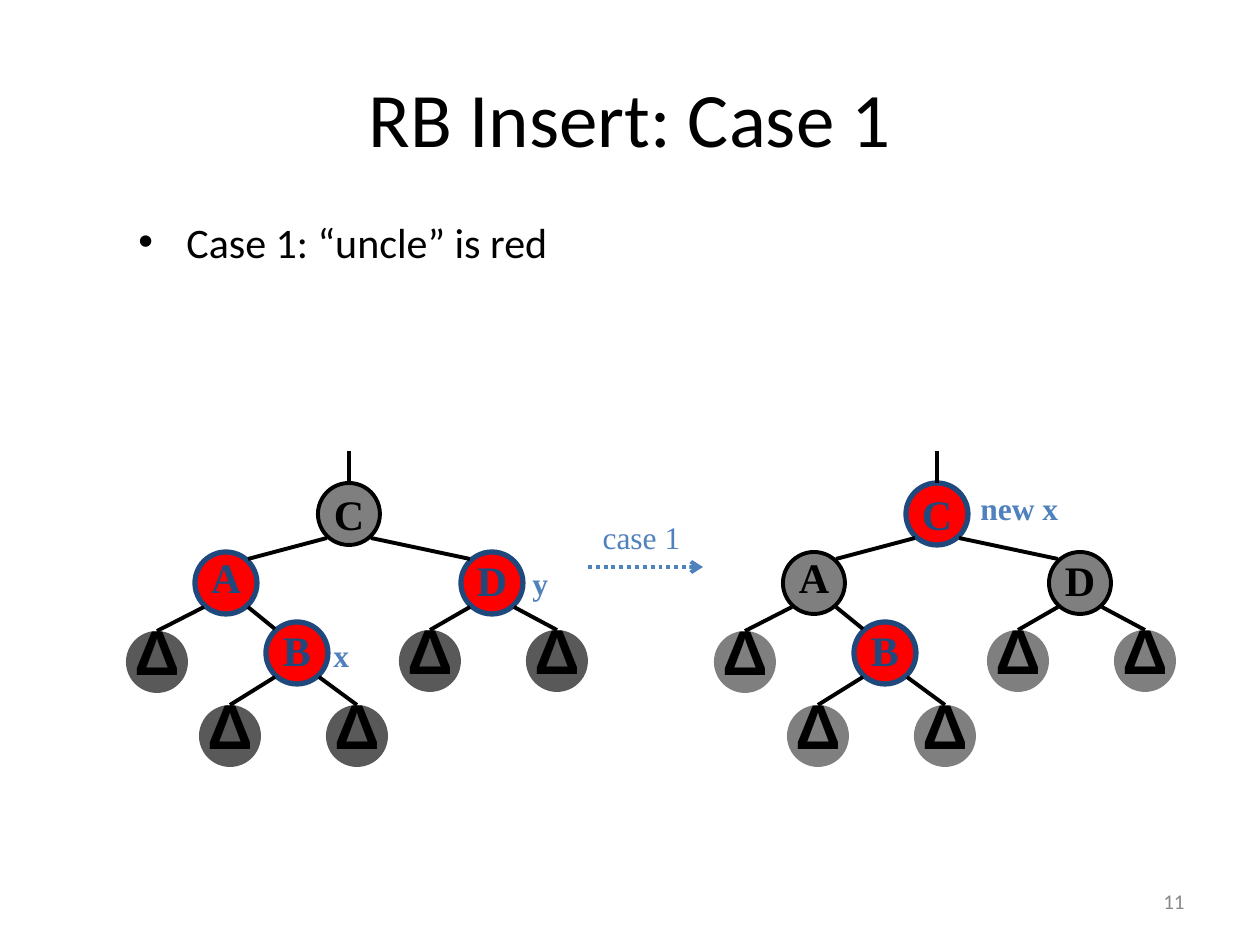
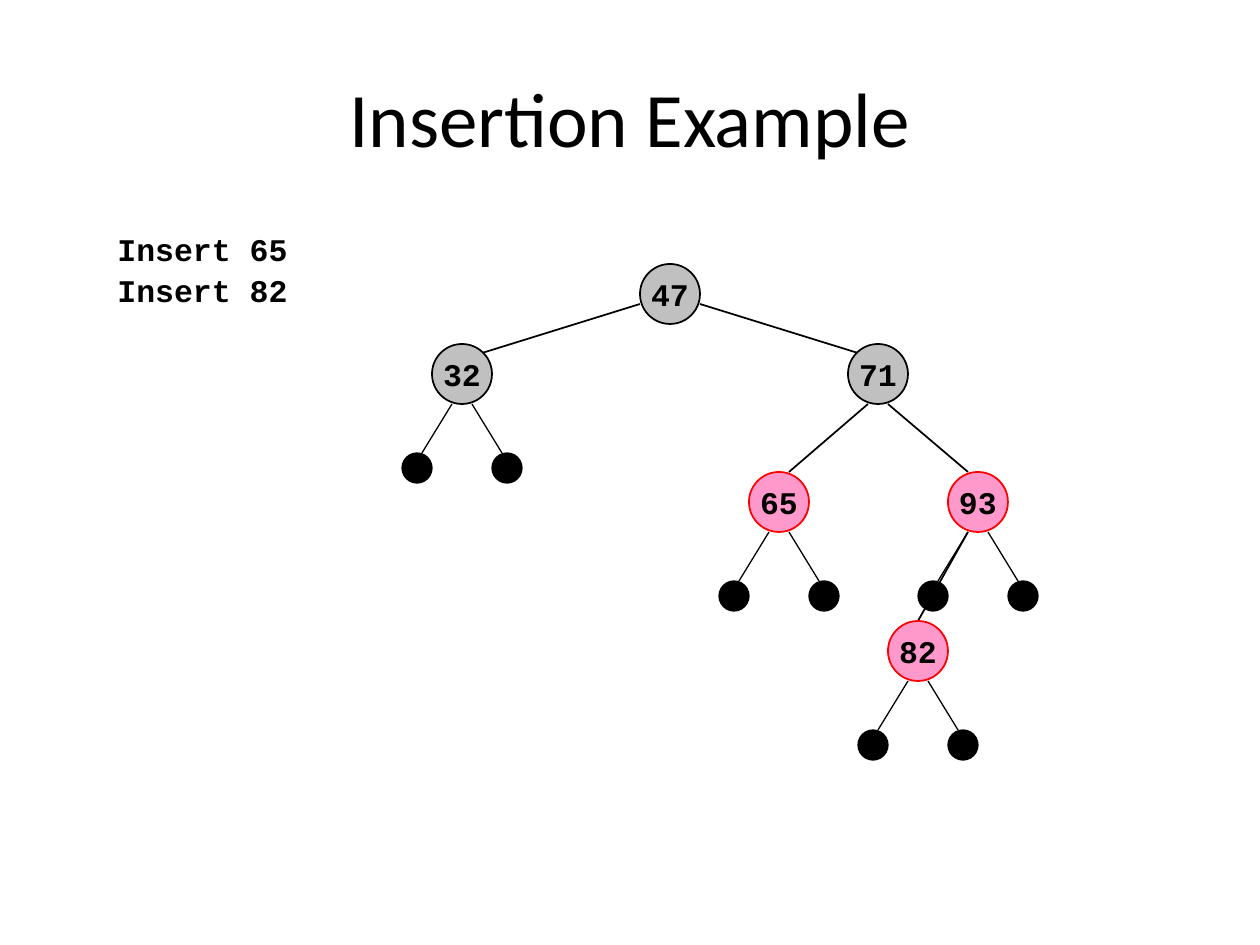
from lxml import etree
from pptx import Presentation
from pptx import util as u
from pptx.dml.color import RGBColor
from pptx.enum import dml, shapes, text
from pptx.oxml import ns

SCALE = 914400 / 126
HUES = {
    "ink": "000000", "grey": "7F7F7F", "dark": "595959", "red": "FF0000",
    "navy": "1F497D", "blue": "4F81BD", "pale": "C0C0C0", "pink": "FF99CC",
    "foot": "898989",
}
ALIGN = {"l": text.PP_ALIGN.LEFT, "c": text.PP_ALIGN.CENTER, "r": text.PP_ALIGN.RIGHT}
SERIF, SANS, MONO = "Times New Roman", "Calibri", "Courier New"

# Case tree: name -> left, top, line spacing
SIZE = 62
NODES = {"C": (318, 483, 1.0), "A": (195, 552, 0.7),
         "D": (461, 552, 0.9), "B": (266, 622, 0.9)}
KIDS = [("C", "A"), ("C", "D"), ("A", "B")]
TREES = [("A", 126, 631), ("B", 199, 705), ("B", 326, 705),
         ("D", 399, 630), ("D", 526, 630)]

# Example tree: key -> left, top, fill, line
DISC, DOT = 60, 30
KEYS = {
    47: (640, 264, "pale", "ink"), 71: (848, 344, "pale", "ink"),
    32: (432, 344, "pale", "ink"), 65: (749, 472, "pink", "red"),
    93: (948, 472, "pink", "red"), 82: (888, 621, "pink", "red"),
}


def px(n):
    return u.Emu(round(n * SCALE))


def hue(name):
    return RGBColor.from_string(HUES[name])


def write(frame, words, font=SANS, size=18, ink="ink", bold=False,
          align="c", mid=True, wrap=True, lead=None, bullet=False):
    """Fill a text frame with one formatted paragraph."""
    frame.word_wrap = wrap
    frame.vertical_anchor = text.MSO_ANCHOR.MIDDLE if mid else text.MSO_ANCHOR.TOP
    para = frame.paragraphs[0]
    para.text = words
    para.alignment = ALIGN[align]
    if lead:
        para.line_spacing = lead
    if bullet:
        props = para._p.get_or_add_pPr()
        props.set("marL", str(px(48)))
        props.set("indent", str(-px(48)))
        face = etree.SubElement(props, ns.qn("a:buFont"))
        face.set("typeface", "Arial")
        etree.SubElement(props, ns.qn("a:buChar")).set("char", "•")
    style = para.runs[0].font
    style.name, style.size, style.bold = font, u.Pt(size), bold
    style.color.rgb = hue(ink)


def label(slide, box, words, **form):
    frame = slide.shapes.add_textbox(*map(px, box)).text_frame
    write(frame, words, **form)
    return frame


def circle(slide, left, top, size, fill, edge=None, width=1):
    disc = slide.shapes.add_shape(
        shapes.MSO_SHAPE.OVAL, px(left), px(top), px(size), px(size))
    disc.shadow.inherit = False
    disc.fill.solid()
    disc.fill.fore_color.rgb = hue(fill)
    if edge:
        disc.line.color.rgb = hue(edge)
        disc.line.width = u.Pt(width)
    else:
        disc.line.fill.background()
    return disc.text_frame


def line(slide, start, end, width, ink="ink", arrow=False):
    link = slide.shapes.add_connector(
        shapes.MSO_CONNECTOR.STRAIGHT, *map(px, (*start, *end)))
    link.line.color.rgb = hue(ink)
    link.line.width = u.Pt(width)
    if arrow:
        link.line.dash_style = dml.MSO_LINE.ROUND_DOT
        tail = etree.SubElement(link.line._get_or_add_ln(), ns.qn("a:tailEnd"))
        tail.set("type", "arrow")
    etree.SubElement(link._element.spPr, ns.qn("a:effectLst"))


def page(deck, title):
    slide = deck.slides.add_slide(deck.slide_layouts[6])
    label(slide, (63, 38, 1134, 157), title, size=44)
    return slide


def corner(name, right, low):
    """Point on a node's rim, on the diagonal side asked for."""
    left, top, _ = NODES[name]
    return left + (53 if right else 9), top + (55 if low else 7)


def case(slide, shift, reds, leaf):
    """Draw the case tree, moved right by shift, with the named nodes red."""
    def link(start, end):
        line(slide, (start[0] + shift, start[1]), (end[0] + shift, end[1]), 2.25)

    for name, (left, top, lead) in NODES.items():
        red = name in reds
        edge = "navy" if red else "ink"
        frame = circle(slide, left + shift, top, SIZE, "red" if red else "grey",
                       edge, 3 if red else 2.25)
        write(frame, name, font=SERIF, size=24, ink=edge, bold=True,
              wrap=False, lead=lead)
    for _, left, top in TREES:
        frame = circle(slide, left + shift, top, SIZE, leaf)
        write(frame, "Δ", font="Arial", size=36, bold=True, wrap=False, lead=0.6)
    for name, kid in KIDS:
        right = NODES[kid][0] > NODES[name][0]
        link(corner(name, right, True), corner(kid, not right, False))
    for name, left, top in TREES:
        right = left > NODES[name][0]
        link(corner(name, right, True), (left + SIZE // 2, top))
    link((349, 483), (349, 451))


def cases(deck):
    slide = page(deck, "RB Insert: Case 1")
    label(slide, (126, 210, 1071, 242), "Case 1: “uncle” is red",
          size=24, align="l", mid=False, bullet=True)
    case(slide, 0, "ABD", "dark")
    case(slide, 588, "CB", "grey")
    line(slide, (588, 567), (703, 567), 2.25, "blue", arrow=True)
    for left, top, wide, words, bold, align in [
            (321, 630, 40, "x", True, "c"), (520, 558, 40, "y", True, "c"),
            (968, 483, 103, "new x", True, "l"),
            (590, 512, 103, "case 1", False, "c")]:
        label(slide, (left, top, wide, 50), words, font=SERIF, ink="blue",
              bold=bold, align=align, wrap=False)
    label(slide, (903, 876, 294, 50), "11", size=12, ink="foot", align="r")


def join(slide, key, kid, start, end):
    """Link two keys; start and end are offsets from each disc's corner."""
    (ax, ay), (bx, by) = KEYS[key][:2], KEYS[kid][:2]
    line(slide, (ax + start[0], ay + start[1]), (bx + end[0], by + end[1]), 1)


def dots(slide, key):
    """Hang two empty leaves under a key."""
    left, top = KEYS[key][:2]
    low = top + 109
    for root, tip in [(20, -10), (40, 70)]:
        line(slide, (left + root, top + DISC), (left + tip, low), 0.75)
        side = -DOT if tip < 0 else DISC
        circle(slide, left + side, low, DOT, "ink", "ink", 0.75)


def example(deck):
    slide = page(deck, "Insertion Example")
    for top, key in [(224, 65), (265, 82)]:
        label(slide, (105, top, 328, 50), f"Insert {key}", font=MONO,
              bold=True, align="l", mid=False)
    join(slide, 47, 32, (0, 40), (50, 9))
    join(slide, 47, 71, (DISC, 40), (10, 9))
    join(slide, 71, 65, (20, DISC), (40, 0))
    join(slide, 71, 93, (40, DISC), (20, 0))
    join(slide, 93, 82, (20, DISC), (30, 0))
    for key, (left, top, fill, edge) in KEYS.items():
        frame = circle(slide, left, top, DISC, fill, edge)
        write(frame, str(key), font=MONO, bold=True, wrap=False)
    for key in (32, 65, 82, 93):
        dots(slide, key)


def main():
    deck = Presentation()
    deck.slide_width, deck.slide_height = px(1260), px(945)
    cases(deck)
    example(deck)
    deck.save("out.pptx")


if __name__ == "__main__":
    main()
